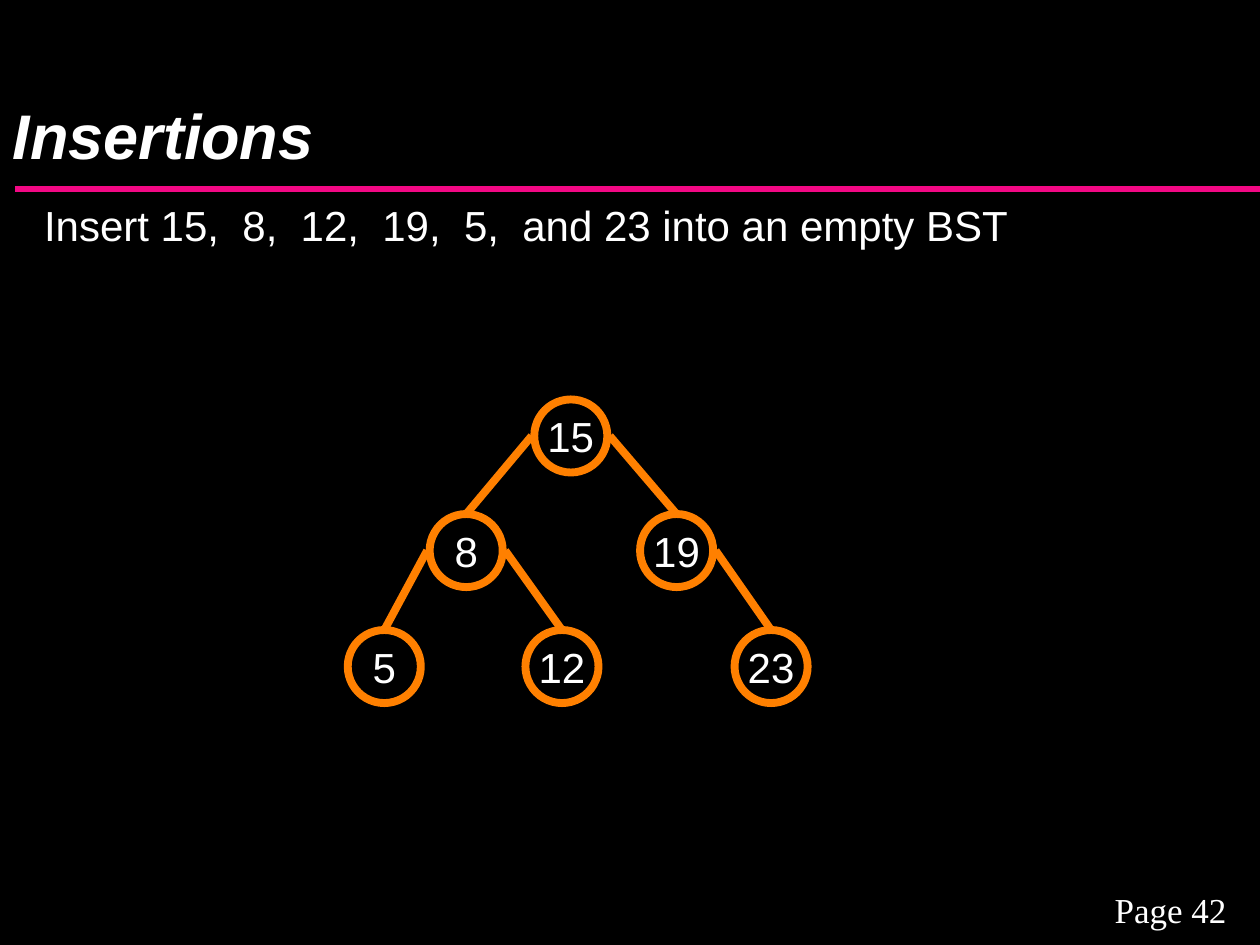
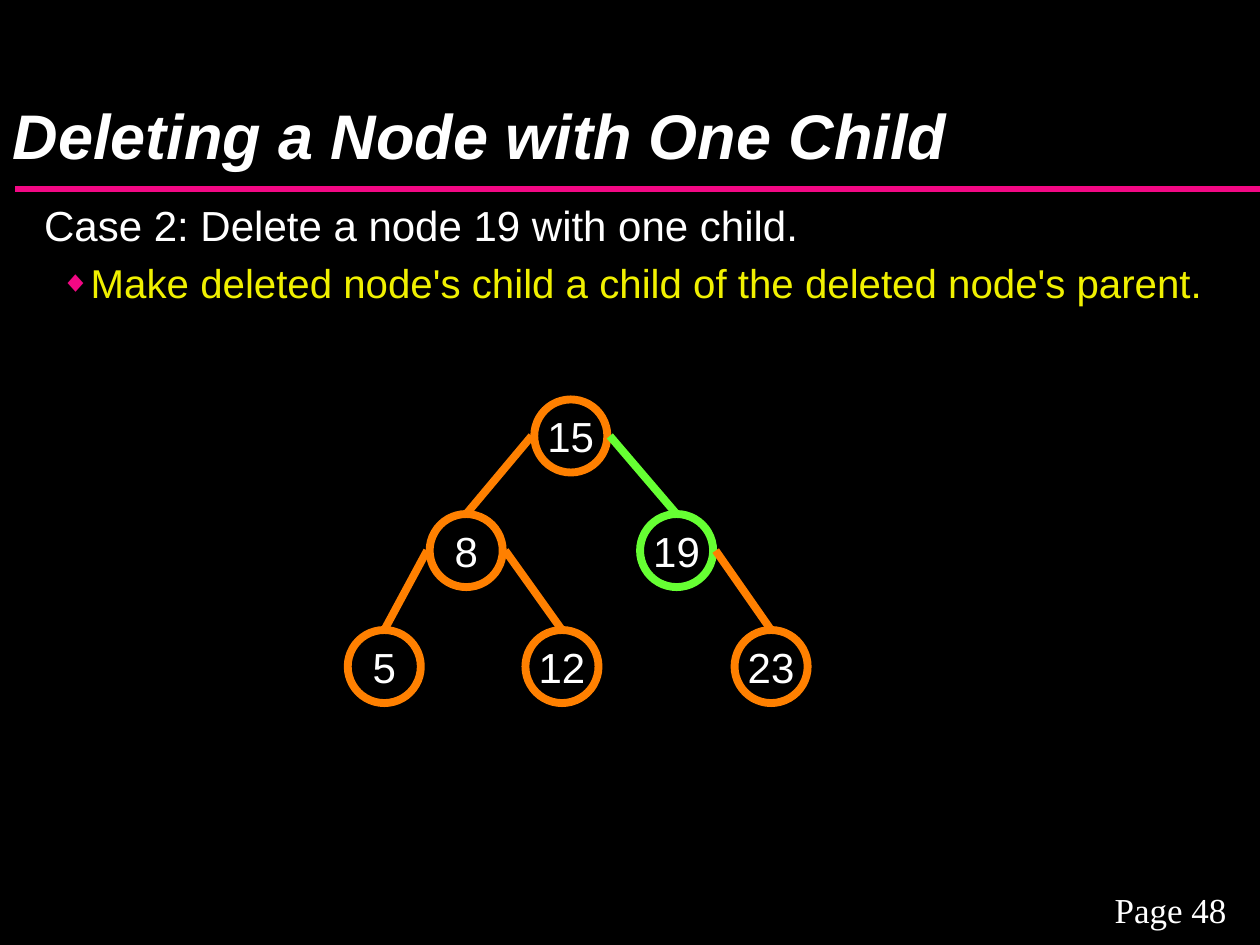
from lxml import etree
from pptx import Presentation, util as u
from pptx.dml.color import RGBColor
from pptx.enum import shapes, text
from pptx.oxml import ns

BLACK = RGBColor(0x00, 0x00, 0x00)
WHITE = RGBColor(0xFF, 0xFF, 0xFF)
PINK = RGBColor(0xF2, 0x08, 0x84)
ORANGE = RGBColor(0xFF, 0x80, 0x00)
GREEN = RGBColor(0x66, 0xFF, 0x33)
YELLOW = RGBColor(0xF0, 0xF0, 0x00)

DIAMETER = 0.58
EDGE_GAP = 0.02
LABEL_HEIGHT = 0.5
LEVEL_TOPS = (3.17, 4.08, 5)
NODES = {15: (4.24, 0), 8: (3.41, 1), 19: (5.08, 1),
         23: (5.83, 2), 5: (2.76, 2), 12: (4.17, 2)}
EDGES = ((15, 8), (15, 19), (19, 23), (8, 5), (8, 12))


class Deck:
    """Holds the shared style and the slide being drawn."""

    def __init__(self):
        self.presentation = Presentation()
        self.presentation.slide_width = u.Inches(10)
        self.presentation.slide_height = u.Inches(7.5)
        fill = self.presentation.slide_master.background.fill
        fill.solid()
        fill.fore_color.rgb = BLACK
        self.slide = None

    def add_slide(self, title, page):
        layout = self.presentation.slide_layouts[1]
        self.slide = self.presentation.slides.add_slide(layout)
        self.add_line((0.12, 1.5), (10, 1.5), PINK, 3.75)
        footer = self.add_text_box(8.58, 7, 1.42, 0.43)
        self.add_run(footer.paragraphs[0], f"Page {page}", 20,
                     name="Times New Roman")
        frame = self.place(self.slide.shapes.title, 0, 0, 10, 1.42)
        frame.vertical_anchor = text.MSO_ANCHOR.BOTTOM
        paragraph = frame.paragraphs[0]
        paragraph.alignment = text.PP_ALIGN.LEFT
        paragraph.line_spacing = 0.89
        run = self.add_run(paragraph, title, 36)
        run.font.bold = run.font.italic = True

    def place(self, shape, left, top, width, height):
        shape.left, shape.top = u.Inches(left), u.Inches(top)
        shape.width, shape.height = u.Inches(width), u.Inches(height)
        shape.text_frame.auto_size = text.MSO_AUTO_SIZE.NONE
        return shape.text_frame

    def add_run(self, paragraph, words, size, color=WHITE, name="Arial"):
        run = paragraph.add_run()
        run.text = words
        run.font.size = u.Pt(size)
        run.font.name = name
        run.font.color.rgb = color
        return run

    def add_text_box(self, left, top, width, height, wrap=True):
        box = self.slide.shapes.add_textbox(
            u.Inches(left), u.Inches(top), u.Inches(width), u.Inches(height))
        box.text_frame.word_wrap = wrap
        box.text_frame.paragraphs[0].alignment = text.PP_ALIGN.CENTER
        return box.text_frame

    def add_body(self, statement, point=None):
        frame = self.place(self.slide.placeholders[1], 0, 1.58, 9.83, 5.42)
        paragraph = frame.paragraphs[0]
        self.set_bullet(paragraph, 0.25, 0)
        paragraph.space_before = u.Pt(0)
        self.add_run(paragraph, statement, 24)
        if point:
            paragraph = frame.add_paragraph()
            paragraph.level = 1
            self.set_bullet(paragraph, 0.62, -0.24, "◆")
            paragraph.space_before = u.Pt(8)
            self.add_run(paragraph, point, 23, YELLOW)

    def set_bullet(self, paragraph, margin, indent, symbol=None):
        paragraph.line_spacing = 0.89
        properties = paragraph._p.get_or_add_pPr()
        properties.set("marL", str(u.Inches(margin)))
        properties.set("indent", str(u.Inches(indent)))
        if symbol is None:
            etree.SubElement(properties, ns.qn("a:buNone"))
            return
        color = etree.SubElement(properties, ns.qn("a:buClr"))
        etree.SubElement(color, ns.qn("a:srgbClr"), val=str(PINK))
        etree.SubElement(properties, ns.qn("a:buSzPct"), val="75000")
        etree.SubElement(properties, ns.qn("a:buFont"), typeface="Arial")
        etree.SubElement(properties, ns.qn("a:buChar"), char=symbol)

    def add_line(self, start, end, color, width):
        points = [u.Inches(value) for value in (*start, *end)]
        line = self.slide.shapes.add_connector(
            shapes.MSO_CONNECTOR.STRAIGHT, *points)
        line.line.color.rgb = color
        line.line.width = u.Pt(width)
        etree.SubElement(line._element.spPr, ns.qn("a:effectLst"))
        return line

    def add_node(self, key, color):
        left, level = NODES[key]
        top = LEVEL_TOPS[level]
        circle = self.slide.shapes.add_shape(
            shapes.MSO_SHAPE.OVAL, u.Inches(left), u.Inches(top),
            u.Inches(DIAMETER), u.Inches(DIAMETER))
        circle.shadow.inherit = False
        circle.fill.background()
        circle.line.color.rgb = color
        circle.line.width = u.Pt(4.5)
        return circle

    def add_label(self, key):
        left, level = NODES[key]
        width = 0.57 if key > 9 else 0.39
        frame = self.add_text_box(
            left + (DIAMETER - width) / 2,
            LEVEL_TOPS[level] + (DIAMETER - LABEL_HEIGHT) / 2,
            width, LABEL_HEIGHT, wrap=False)
        frame.vertical_anchor = text.MSO_ANCHOR.MIDDLE
        self.add_run(frame.paragraphs[0], str(key), 24)

    def add_edge(self, parent, child, circle, color):
        left, level = NODES[parent]
        side = -EDGE_GAP if child < parent else DIAMETER + EDGE_GAP
        start = (left + side, LEVEL_TOPS[level] + DIAMETER / 2)
        child_left, child_level = NODES[child]
        end = (child_left + DIAMETER / 2, LEVEL_TOPS[child_level])
        self.add_line(start, end, color, 4.5).end_connect(circle, 0)

    def add_tree(self, marked=None):
        colors = {key: GREEN if key == marked else ORANGE for key in NODES}
        circles = {key: self.add_node(key, colors[key]) for key in NODES}
        for key in NODES:
            self.add_label(key)
        for parent, child in EDGES:
            self.add_edge(parent, child, circles[child], colors[child])


def main():
    deck = Deck()
    deck.add_slide("Insertions", 42)
    deck.add_tree()
    deck.add_body("Insert 15,  8,  12,  19,  5,  and 23 into an empty BST")

    deck.add_slide("Deleting a Node with One Child", 48)
    deck.add_tree(marked=19)
    deck.add_body(
        "Case 2: Delete a node 19 with one child.",
        "Make deleted node's child a child of the deleted node's parent.")
    deck.presentation.save("out.pptx")


if __name__ == "__main__":
    main()
